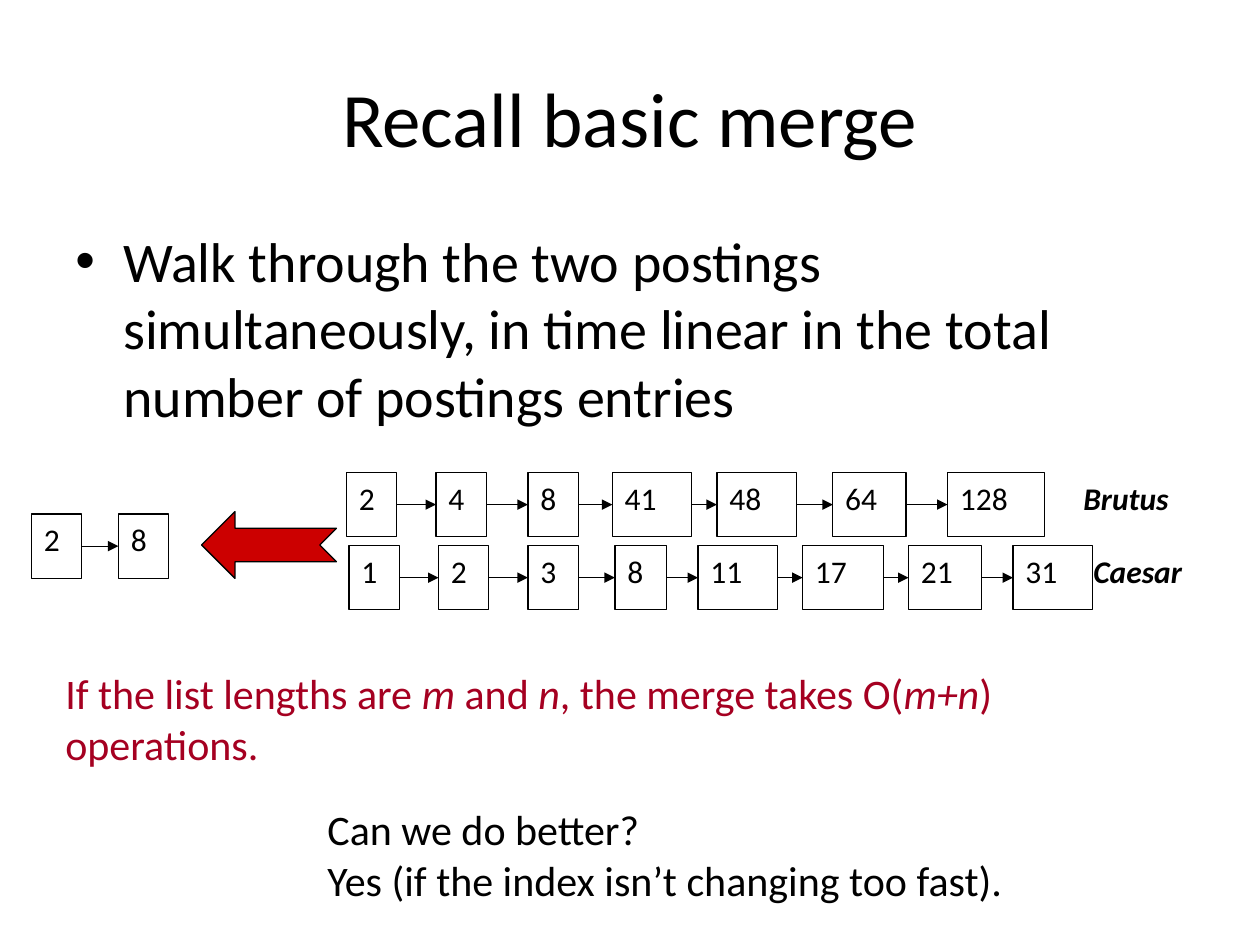
from dataclasses import dataclass
from itertools import pairwise

from lxml.etree import SubElement
from pptx import Presentation
from pptx.dml.color import RGBColor
from pptx.enum.shapes import MSO_CONNECTOR as Link, MSO_SHAPE as Kind
from pptx.enum.text import MSO_ANCHOR as Anchor, PP_ALIGN as Align
from pptx.oxml.ns import qn
from pptx.util import Inches, Pt

BLACK, RED, WINE = "000000", "CC0000", "A50021"
TALL = 0.51


@dataclass(frozen=True)
class Cell:
    left: float
    wide: float
    word: str


@dataclass(frozen=True)
class Chain:
    top: float
    cells: tuple[Cell, ...]


CHAINS = (
    Chain(3.75, (
        Cell(2.75, 0.4, "2"), Cell(3.46, 0.4, "4"), Cell(4.19, 0.4, "8"),
        Cell(4.86, 0.63, "41"), Cell(5.69, 0.63, "48"),
        Cell(6.61, 0.58, "64"), Cell(7.52, 0.77, "128"),
    )),
    Chain(4.33, (
        Cell(2.77, 0.4, "1"), Cell(3.48, 0.4, "2"), Cell(4.19, 0.4, "3"),
        Cell(4.88, 0.41, "8"), Cell(5.54, 0.63, "11"), Cell(6.37, 0.64, "17"),
        Cell(7.21, 0.58, "21"), Cell(8.04, 0.63, "31"),
    )),
    Chain(4.08, (Cell(0.25, 0.4, "2"), Cell(0.94, 0.4, "8"))),
)


def color(code: str) -> RGBColor:
    return RGBColor.from_string(code)


def place(shape, left: float, top: float, wide: float, tall: float) -> None:
    shape.left, shape.top = Inches(left), Inches(top)
    shape.width, shape.height = Inches(wide), Inches(tall)


def write(para, text: str, *, size: float = 18, ink: str = BLACK,
          bold: bool = False, slant: bool = False) -> None:
    run = para.add_run()
    run.text = text
    font = run.font
    font.name, font.size = "Calibri", Pt(size)
    font.bold, font.italic = bold, slant
    font.color.rgb = color(ink)


def add_text(slide, left: float, top: float, wide: float, tall: float):
    box = slide.shapes.add_textbox(*map(Inches, (left, top, wide, tall)))
    box.text_frame.word_wrap = True
    return box.text_frame


def outline(shape) -> None:
    shape.shadow.inherit = False
    shape.line.color.rgb = color(BLACK)
    shape.line.width = Pt(0.75)


def draw_cell(slide, cell: Cell, top: float):
    box = slide.shapes.add_shape(
        Kind.RECTANGLE, *map(Inches, (cell.left, top, cell.wide, TALL)))
    outline(box)
    box.fill.background()
    frame = box.text_frame
    frame.word_wrap = True
    frame.vertical_anchor = Anchor.TOP
    para = frame.paragraphs[0]
    para.alignment = Align.LEFT
    write(para, cell.word)
    return box


def join(slide, start, end) -> None:
    line = slide.shapes.add_connector(Link.STRAIGHT, 0, 0, 0, 0)
    line.begin_connect(start, 3)
    line.end_connect(end, 1)
    line.line.color.rgb = color(BLACK)
    line.line.width = Pt(0.75)
    SubElement(line.line._get_or_add_ln(), qn("a:tailEnd"), type="triangle")
    SubElement(line._element.spPr, qn("a:effectLst"))


def draw_chain(slide, chain: Chain) -> None:
    boxes = [draw_cell(slide, cell, chain.top) for cell in chain.cells]
    for start, end in pairwise(boxes):
        join(slide, start, end)


def draw_title(slide) -> None:
    title = slide.shapes.title
    place(title, 0.5, 0.3, 9, 1.25)
    title.text_frame.vertical_anchor = Anchor.MIDDLE
    para = title.text_frame.paragraphs[0]
    para.alignment = Align.CENTER
    write(para, "Recall basic merge", size=44)


def draw_point(slide) -> None:
    para = add_text(slide, 0.5, 1.75, 9, 1.8).paragraphs[0]
    para.space_before = Pt(6.4)
    props = para._p.get_or_add_pPr()
    indent = Inches(0.38)
    props.set("marL", str(indent))
    props.set("indent", str(-indent))
    SubElement(props, qn("a:buFont"), typeface="Arial")
    SubElement(props, qn("a:buChar"), char="•")
    write(para, "Walk through the two postings simultaneously, in time linear "
                "in the total number of postings entries", size=32)


def draw_arrow(slide) -> None:
    arrow = slide.shapes.add_shape(
        Kind.NOTCHED_RIGHT_ARROW, *map(Inches, (1.6, 4.06, 1.07, 0.53)))
    outline(arrow)
    arrow.rotation = 180
    arrow.fill.solid()
    arrow.fill.fore_color.rgb = color(RED)


def draw_notes(slide) -> None:
    for name, left, top in (("Brutus", 8.5, 3.75), ("Caesar", 8.58, 4.33)):
        frame = add_text(slide, left, top, 1.3, 0.5)
        write(frame.paragraphs[0], name, bold=True, slant=True)

    cost = add_text(slide, 0.42, 5.25, 7.63, 0.91)
    parts = ("If the list lengths are ", "m", " and ", "n",
             ", the merge takes O(", "m+n", ")")
    for spot, part in enumerate(parts):
        write(cost.paragraphs[0], part, size=24, ink=WINE, slant=spot % 2 == 1)
    write(cost.add_paragraph(), "operations.", size=24, ink=WINE)

    hint = add_text(slide, 2.5, 6.33, 5.61, 0.91)
    write(hint.paragraphs[0], "Can we do better?", size=24)
    write(hint.add_paragraph(),
          "Yes (if the index isn’t changing too fast).", size=24)


def main() -> None:
    deck = Presentation()
    deck.slide_width, deck.slide_height = Inches(10), Inches(7.5)
    slide = deck.slides.add_slide(deck.slide_layouts[5])
    draw_title(slide)
    draw_point(slide)
    for chain in CHAINS:
        draw_chain(slide, chain)
    draw_arrow(slide)
    draw_notes(slide)
    deck.save("out.pptx")


if __name__ == "__main__":
    main()
